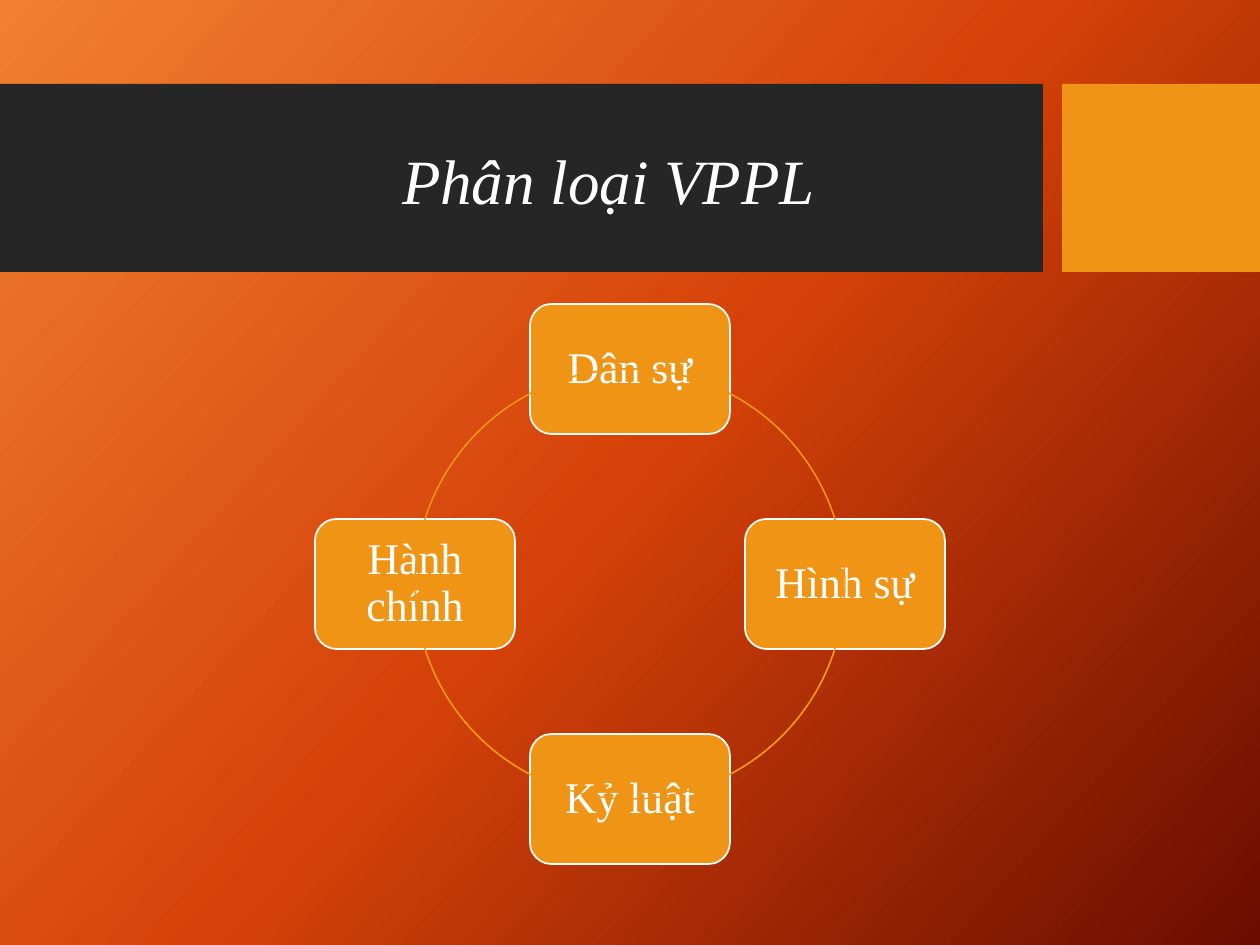
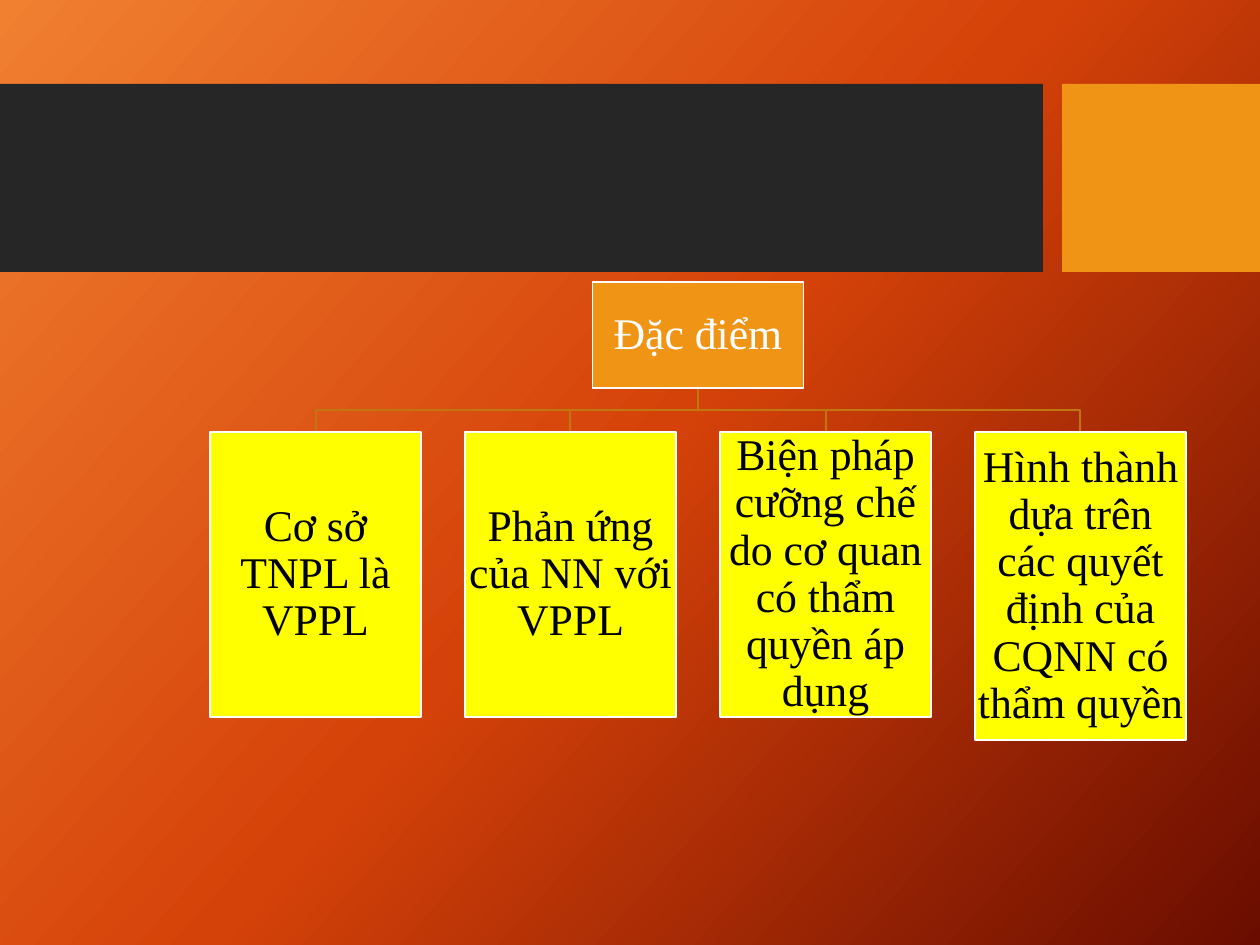
import math

import pptx
import pptx.dml.color
import pptx.enum.shapes
import pptx.enum.text
import pptx.oxml
import pptx.oxml.ns
import pptx.util

RGB = pptx.dml.color.RGBColor
SHAPE = pptx.enum.shapes.MSO_SHAPE
EMU_PER_PX = 914400 / 126
PAGE_WIDTH, PAGE_HEIGHT = 1260, 945

WHITE = RGB(0xFF, 0xFF, 0xFF)
BLACK = RGB(0, 0, 0)
CHARCOAL = RGB(0x26, 0x26, 0x26)
ORANGE = RGB(0xF0, 0x94, 0x15)
BRANCH_BROWN = RGB(0xC0, 0x77, 0x11)
YELLOW = RGB(0xFF, 0xFF, 0x00)
BACKDROP = [
    (0, RGB(0xF1, 0x80, 0x31)),
    (50, RGB(0xD5, 0x42, 0x09)),
    (100, RGB(0x6A, 0x0D, 0x00)),
]
BACKDROP_ANGLE = 42
FONT = "Times New Roman"
TITLE_SIZE, LABEL_SIZE = 36, 25

KINDS = ["Dân sự", "Hình sự", "Kỷ luật", "Hành chính"]
ROOT_LABEL = "Đặc điểm"
TRAITS = [
    ("Cơ sở TNPL là VPPL", 285),
    ("Phản ứng của NN với VPPL", 285),
    ("Biện pháp cưỡng chế do cơ quan có thẩm quyền áp dụng", 285),
    ("Hình thành dựa trên các quyết định của CQNN có thẩm quyền", 308),
]


def px(length):
    return pptx.util.Emu(round(length * EMU_PER_PX))


def paint_backdrop(master):
    fill = master.background.fill
    fill.gradient()
    gradient = master.element.find(".//" + pptx.oxml.ns.qn("a:gradFill"))
    stops = gradient.find(pptx.oxml.ns.qn("a:gsLst"))
    for stop in list(stops):
        stops.remove(stop)
    for percent, color in BACKDROP:
        stops.append(pptx.oxml.parse_xml(
            f'<a:gs {pptx.oxml.ns.nsdecls("a")} pos="{percent * 1000}">'
            f'<a:srgbClr val="{color}"/></a:gs>'))
    direction = gradient.find(pptx.oxml.ns.qn("a:lin"))
    direction.set("ang", str(BACKDROP_ANGLE * 60000))
    direction.set("scaled", "0")


def style_shape(shape, fill=None, line=None, weight=1):
    shape.shadow.inherit = False
    if fill is None:
        shape.fill.background()
    else:
        shape.fill.solid()
        shape.fill.fore_color.rgb = fill
    if line is None:
        shape.line.fill.background()
    else:
        shape.line.color.rgb = line
        shape.line.width = pptx.util.Pt(weight)


def add_shape(page, kind, box, fill=None, line=None, weight=1):
    shape = page.shapes.add_shape(kind, *map(px, box))
    style_shape(shape, fill, line, weight)
    return shape


def write_text(shape, text, size, color, inset, italic=False):
    frame = shape.text_frame
    frame.text = text
    frame.word_wrap = True
    frame.auto_size = pptx.enum.text.MSO_AUTO_SIZE.NONE
    frame.vertical_anchor = pptx.enum.text.MSO_ANCHOR.MIDDLE
    frame.margin_left = frame.margin_right = px(inset)
    frame.margin_top = frame.margin_bottom = px(inset)
    para = frame.paragraphs[0]
    para.alignment = pptx.enum.text.PP_ALIGN.CENTER
    para.line_spacing = 0.9
    font = para.runs[0].font
    font.name = FONT
    font.size = pptx.util.Pt(size)
    font.italic = italic
    font.color.rgb = color


def add_bands(page, top, height):
    dark_width, accent_left = 1043, 1062
    add_shape(page, SHAPE.RECTANGLE, (0, top, dark_width, height), CHARCOAL)
    add_shape(page, SHAPE.RECTANGLE,
              (accent_left, top, PAGE_WIDTH - accent_left, height), ORANGE)


def add_page(deck, title=None):
    layout = deck.slide_layouts.get_by_name("Title Only" if title else "Blank")
    page = deck.slides.add_slide(layout)
    add_bands(page, 84, 188)
    if title:
        heading = page.shapes.title
        heading.left, heading.top, heading.width, heading.height = map(
            px, (73, 105, 1071, 158))
        write_text(heading, title, TITLE_SIZE, WHITE, 6, italic=True)
        page.shapes.element.append(heading.element)
    return page


def add_cycle(page, labels, box):
    left, top, width, height = box
    node_width, node_height = 200, 130
    radius = (height - node_height) / 2
    center_x, center_y = left + width / 2, top + height / 2
    ring = (center_x - radius, center_y - radius, 2 * radius, 2 * radius)
    arc_spans = [(298.5, 342), (18, 61.5), (118.5, 162), (198, 241.5)]

    for index, (label, span) in enumerate(zip(labels, arc_spans)):
        angle = math.radians(360 / len(labels) * index - 90)
        node_left = center_x + radius * math.cos(angle) - node_width / 2
        node_top = center_y + radius * math.sin(angle) - node_height / 2
        node = add_shape(page, SHAPE.ROUNDED_RECTANGLE,
                         (node_left, node_top, node_width, node_height),
                         ORANGE, WHITE)
        write_text(node, label, LABEL_SIZE, WHITE, 19)
        arc = add_shape(page, SHAPE.ARC, ring, line=ORANGE, weight=0.75)
        for position, degrees in enumerate(span):
            arc.adjustments[position] = (degrees - 360 * (degrees > 180)) * 0.6


def add_branch(page, start, end):
    middle = (start[1] + end[1]) / 2
    builder = page.shapes.build_freeform(*start, scale=EMU_PER_PX)
    builder.add_line_segments(
        [(start[0], middle), (end[0], middle), end], close=False)
    style_shape(builder.convert_to_shape(), line=BRANCH_BROWN)


def add_hierarchy(page, root_label, traits, box):
    left, top, width = box
    card_width, root_height, level_gap, inset = 211, 106, 44, 2
    pitch = (width - card_width) / (len(traits) - 1)
    center = left + width / 2
    root_bottom = top + root_height
    card_top = root_bottom + level_gap
    card_lefts = [left + pitch * index for index in range(len(traits))]

    for card_left in card_lefts:
        add_branch(page, (center, root_bottom),
                   (card_left + card_width / 2, card_top))
    root = add_shape(page, SHAPE.RECTANGLE,
                     (center - card_width / 2, top, card_width, root_height),
                     ORANGE, WHITE)
    write_text(root, root_label, LABEL_SIZE, WHITE, inset)
    for card_left, (label, height) in zip(card_lefts, traits):
        card = add_shape(page, SHAPE.RECTANGLE,
                         (card_left, card_top, card_width, height),
                         YELLOW, WHITE)
        write_text(card, label, LABEL_SIZE, BLACK, inset)


def main():
    deck = pptx.Presentation()
    deck.slide_width, deck.slide_height = px(PAGE_WIDTH), px(PAGE_HEIGHT)
    paint_backdrop(deck.slide_master)
    add_cycle(add_page(deck, "Phân loại VPPL"), KINDS, (315, 304, 630, 560))
    add_hierarchy(add_page(deck), ROOT_LABEL, TRAITS, (210, 282, 976))
    deck.save("out.pptx")


if __name__ == "__main__":
    main()
